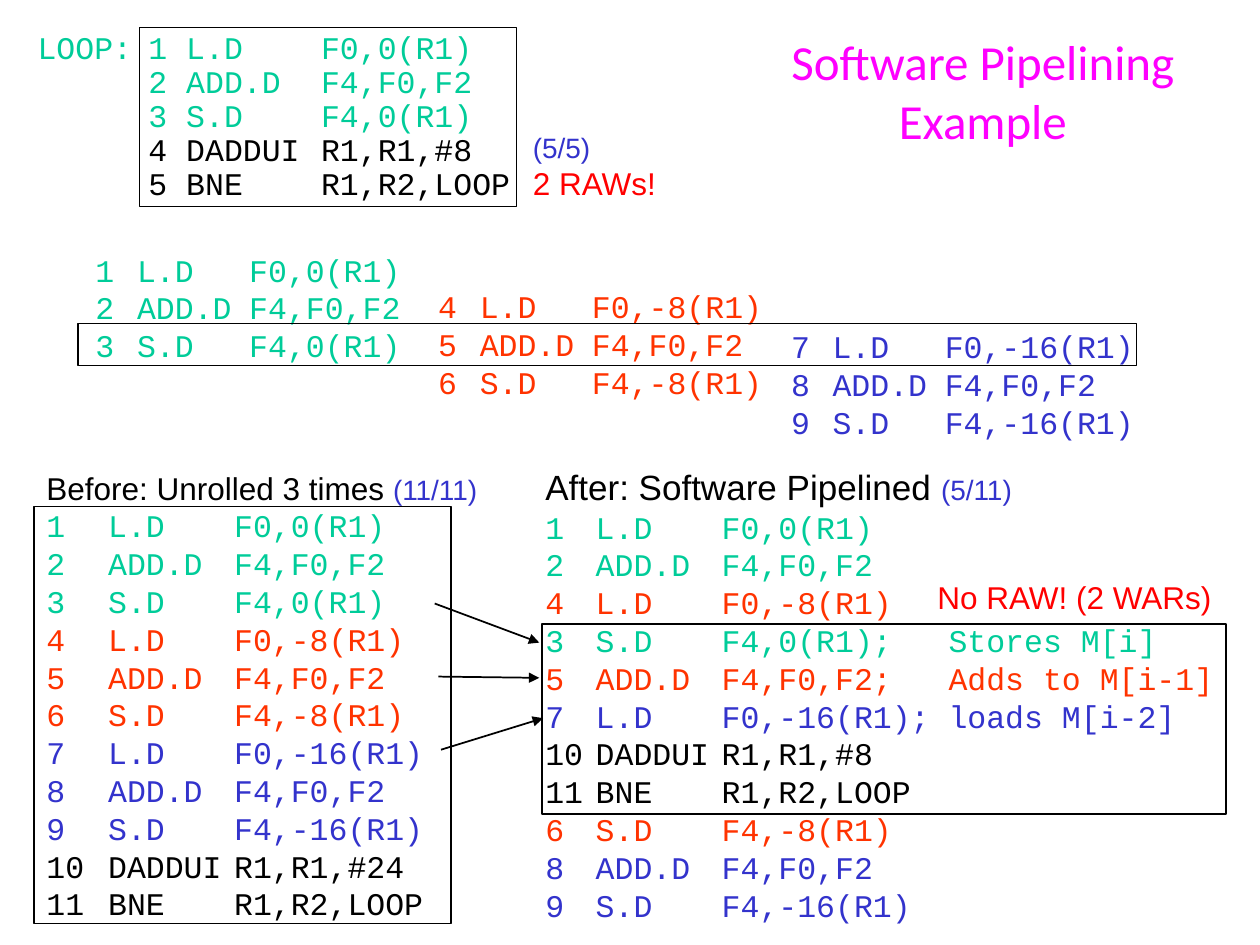
import pptx
import pptx.dml.color
import pptx.enum.shapes
import pptx.enum.text
import pptx.oxml
import pptx.oxml.ns
import pptx.util
from pptx.util import Inches

COLORS = {
    "first": "00CC99", "second": "FF3300", "third": "3333CC",
    "black": "000000", "title": "FF00FF", "hazard": "FF0000",
}
ITERATIONS = {"first": "0", "second": "-8", "third": "-16"}


def rgb(name):
    return pptx.dml.color.RGBColor.from_string(COLORS[name])


def add_run(paragraph, text, size=18, font="Courier New", color="black"):
    """Append one formatted run, breaking the line at each newline."""
    for index, line in enumerate(text.split("\n")):
        if index:
            paragraph.add_line_break()
        run = paragraph.add_run()
        run.text = line
        run.font.size = pptx.util.Pt(size)
        run.font.name = font
        run.font.color.rgb = rgb(color)


class SlideBuilder:
    """Hold the line style and the current slide, and add elements to it."""

    def __init__(self, slide, line_color="black"):
        self.slide = slide
        self.line_color = line_color

    def text(self, left, top, width, height, paragraphs, tabs=(), spacing=None,
             align=None, anchor=None, side=0.1, edge=0.05):
        box = self.slide.shapes.add_textbox(
            Inches(left), Inches(top), Inches(width), Inches(height))
        frame = box.text_frame
        frame.word_wrap = True
        frame.margin_left = frame.margin_right = Inches(side)
        frame.margin_top = frame.margin_bottom = Inches(edge)
        frame.vertical_anchor = anchor
        for index, runs in enumerate(paragraphs):
            paragraph = frame.paragraphs[0] if index == 0 else frame.add_paragraph()
            if tabs:
                tab_list = pptx.oxml.parse_xml(
                    f'<a:tabLst {pptx.oxml.ns.nsdecls("a")}>'
                    + "".join(f'<a:tab pos="{Inches(tab)}" algn="l"/>' for tab in tabs)
                    + "</a:tabLst>")
                paragraph._p.get_or_add_pPr().append(tab_list)
            paragraph.alignment = align
            if spacing:
                paragraph.line_spacing = spacing
            for content, style in runs:
                add_run(paragraph, content, **style)
        return frame

    def frame(self, left, top, width, height, weight=0.75):
        outline = self.slide.shapes.add_shape(
            pptx.enum.shapes.MSO_SHAPE.RECTANGLE,
            Inches(left), Inches(top), Inches(width), Inches(height))
        outline.shadow.inherit = False
        outline.fill.background()
        outline.line.color.rgb = rgb(self.line_color)
        outline.line.width = pptx.util.Pt(weight)

    def arrow(self, x1, y1, x2, y2):
        arrow = self.slide.shapes.add_connector(
            pptx.enum.shapes.MSO_CONNECTOR.STRAIGHT,
            Inches(x1), Inches(y1), Inches(x2), Inches(y2))
        arrow.line.color.rgb = rgb(self.line_color)
        arrow.line.width = pptx.util.Pt(1)
        namespace = pptx.oxml.ns.nsdecls("a")
        arrow.line._get_or_add_ln().append(
            pptx.oxml.parse_xml(f'<a:tailEnd {namespace} type="triangle"/>'))
        arrow._element.spPr.append(pptx.oxml.parse_xml(f"<a:effectLst {namespace}/>"))


def unrolled_code():
    """Number the instructions of the three iterations, with their colours."""
    code = []
    for color, offset in ITERATIONS.items():
        for operation in (f"L.D\tF0,{offset}(R1)", "ADD.D\tF4,F0,F2",
                          f"S.D\tF4,{offset}(R1)"):
            code.append((f"{len(code) + 1}\t{operation}", color))
    return code


def listing(code, prefix=""):
    return [[(prefix + line, {"color": color})] for line, color in code]


def heading(label, size, cycles):
    return [(label, {"size": size, "font": "Arial"}),
            (cycles, {"size": 16, "font": "Arial", "color": "third"})]


def main():
    deck = pptx.Presentation()
    deck.slide_width, deck.slide_height = Inches(10), Inches(7.5)
    builder = SlideBuilder(deck.slides.add_slide(deck.slide_layouts[6]))
    code = unrolled_code()
    branch = "BNE\tR1,R2,LOOP"
    advance = "DADDUI\tR1,R1,#"

    builder.text(
        5.79, 0.28, 4.02, 0.87,
        [[("Software Pipelining\nExample",
           {"size": 28, "font": "Calibri", "color": "title"})]],
        align=pptx.enum.text.PP_ALIGN.CENTER,
        anchor=pptx.enum.text.MSO_ANCHOR.MIDDLE, side=0.18, edge=0.09)

    stagger = ((0.51, 1.94, 2.8), (3.23, 2.23, 2.97), (6.03, 2.55, 3.14))
    for index, (left, top, width) in enumerate(stagger):
        iteration = code[3 * index:3 * index + 3]
        builder.text(left, top, width, 1, listing(iteration, " "), tabs=(0.48, 1.37))
    builder.frame(0.62, 2.57, 8.4, 0.33)

    loop = listing(code[:3] + [(f"4\t{advance}8", "black"), (f"5\t{branch}", "black")],
                   "\t")
    loop[0] = [("LOOP:" + loop[0][0][0], loop[0][0][1])]
    builder.text(0.2, 0.21, 4.1, 1.45, loop, tabs=(0.88, 1.18, 2.25), spacing=0.9)
    builder.frame(1.11, 0.22, 2.99, 1.42)
    builder.text(4.13, 0.99, 1.42, 0.67, [
        [("(5/5)", {"size": 16, "font": "Arial", "color": "third"})],
        [("2 RAWs!", {"font": "Arial", "color": "hazard"})]])

    remarks = {3: ";   Stores M[i]", 5: ";   Adds to M[i-1]", 7: "; loads M[i-2]"}
    pipelined = code + [(f"10\t{advance}8", "black"), (f"11\t{branch}", "black")]
    schedule = []
    for number in (1, 2, 4, 3, 5, 7, 10, 11, 6, 8, 9):
        line, color = pipelined[number - 1]
        schedule.append((line + remarks.get(number, ""), color))
    after = builder.text(
        4.23, 3.68, 5.57, 3.69,
        [heading("After: Software Pipelined ", 20, "(5/11)")] + listing(schedule),
        tabs=(0.4, 1.4))
    after.paragraphs[0].line_spacing = 0.9
    for arrow in ((3.45, 4.79, 4.28, 5.1), (3.48, 5.37, 4.28, 5.38),
                  (3.5, 5.95, 4.31, 5.7)):
        builder.arrow(*arrow)
    builder.frame(4.3, 4.95, 5.43, 1.51, weight=1)

    unrolled = code + [(f"10\t{advance}24", "black"), (f"11\t{branch}", "black")]
    builder.text(
        0.27, 3.67, 4.1, 3.71,
        [heading("Before: Unrolled 3 times ", 18, "(11/11)")] + listing(unrolled),
        tabs=(0.49, 1.49))
    builder.text(7.44, 4.54, 2.28, 0.39,
                 [[("No RAW! (2 WARs)", {"font": "Arial", "color": "hazard"})]], side=0)
    builder.frame(0.27, 4.02, 3.31, 3.31)

    deck.save("out.pptx")


if __name__ == "__main__":
    main()
